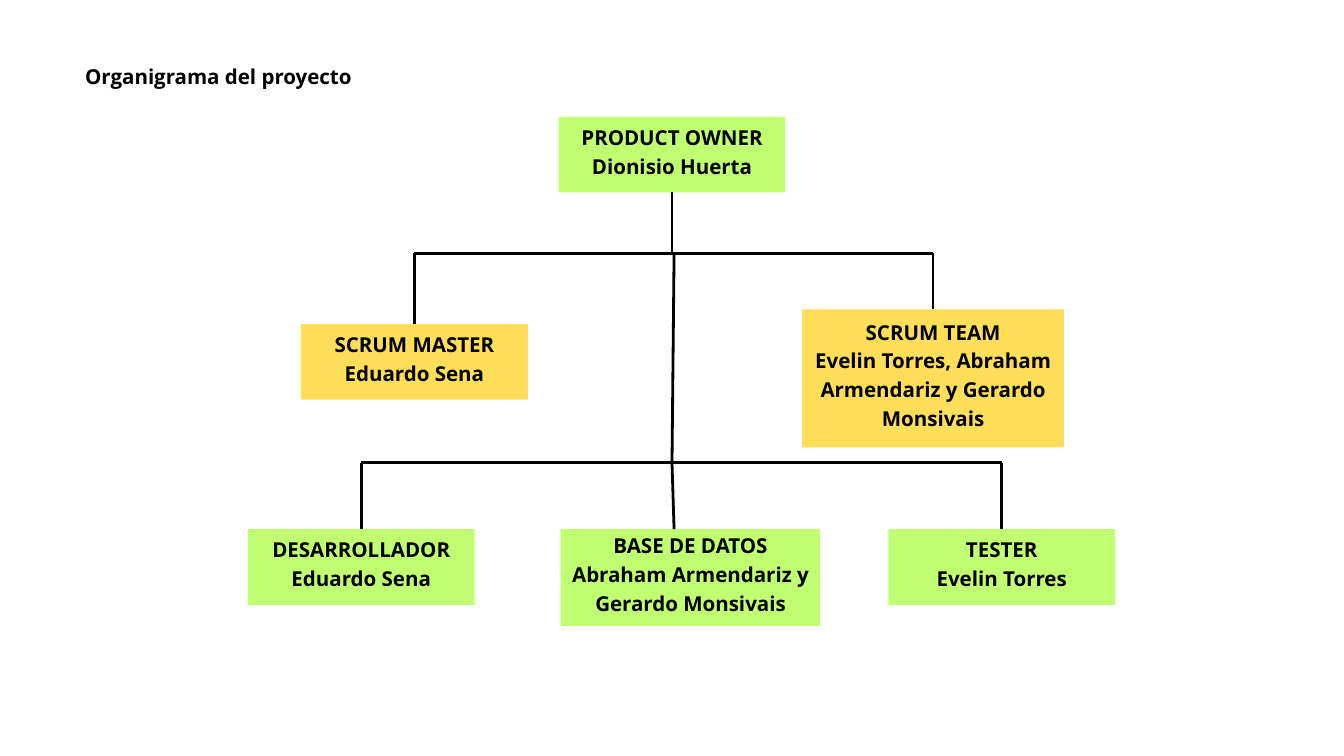
from pptx import Presentation
from pptx.dml.color import RGBColor
from pptx.enum.shapes import MSO_CONNECTOR as CONNECTOR, MSO_SHAPE as SHAPE
from pptx.enum.text import MSO_ANCHOR as ANCHOR, MSO_AUTO_SIZE as AUTO_SIZE, PP_ALIGN as ALIGN
from pptx.oxml.ns import qn
from pptx.util import Pt
from lxml.etree import SubElement

PX = 9525  # EMU per px: 1920 x 1080 px is 20 x 11.25 in
COLORS = {"green": "C1FF72", "yellow": "FFDE59", "ink": "000000"}


class OrgChart:
    font, size, leading, stroke = "Open Sans", Pt(22), Pt(30.8), Pt(3)

    def __init__(self, slide):
        self.slide = slide

    def color(self, name):
        return RGBColor.from_string(COLORS[name])

    def fill_text(self, frame, lines, anchor, insets):
        frame.word_wrap = True
        frame.auto_size = AUTO_SIZE.NONE
        frame.vertical_anchor = anchor
        (frame.margin_left, frame.margin_top,
         frame.margin_right, frame.margin_bottom) = [inset * PX for inset in insets]
        for i, line in enumerate(lines):
            paragraph = frame.add_paragraph() if i else frame.paragraphs[0]
            paragraph.alignment = ALIGN.CENTER
            paragraph.line_spacing = self.leading
            paragraph.space_before = paragraph.space_after = Pt(0)
            run = paragraph.add_run()
            run.text = line
            run.font.name, run.font.size, run.font.bold = self.font, self.size, True
            run.font.color.rgb = self.color("ink")

    def title(self, text, x, y, width, height):
        title = self.slide.shapes.title
        title.left, title.top = x * PX, y * PX
        title.width, title.height = width * PX, height * PX
        self.fill_text(title.text_frame, [text], ANCHOR.TOP, (0, 0, 0, 0))

    def role(self, fill, name, people, x, y, width=324, height=108):
        """Draw a role box; return its centre x, top and bottom."""
        box = self.slide.shapes.add_shape(
            SHAPE.RECTANGLE, x * PX, y * PX, width * PX, height * PX)
        box.shadow.inherit = False
        box.fill.solid()
        box.fill.fore_color.rgb = self.color(fill)
        box.line.fill.background()
        self.fill_text(box.text_frame, [name, people], ANCHOR.MIDDLE, (6, 0, 6, 15))
        return x + width // 2, y, y + height

    def line(self, x1, y1, x2, y2):
        line = self.slide.shapes.add_connector(
            CONNECTOR.STRAIGHT, x1 * PX, y1 * PX, x2 * PX, y2 * PX)
        line.line.color.rgb = self.color("ink")
        line.line.width = self.stroke
        SubElement(line._element.spPr, qn("a:effectLst"))

    def branch(self, bar_y, left, right):
        """Draw a bar with a drop to the role at each end."""
        self.line(left[0], bar_y, right[0], bar_y)
        for center, top, _ in (left, right):
            self.line(center, bar_y, center, top)


def main():
    prs = Presentation()
    prs.slide_width, prs.slide_height = 1920 * PX, 1080 * PX
    chart = OrgChart(prs.slides.add_slide(prs.slide_layouts[5]))
    chart.title("Organigrama del proyecto", 108, 86, 408, 80)

    # Roles, level by level
    owner = chart.role("green", "PRODUCT OWNER", "Dionisio Huerta", 798, 167)
    master = chart.role("yellow", "SCRUM MASTER", "Eduardo Sena", 430, 463)
    team = chart.role("yellow", "SCRUM TEAM",
                      "Evelin Torres, Abraham Armendariz y Gerardo Monsivais",
                      1146, 442, 374, 197)
    level_y = 756
    developer = chart.role("green", "DESARROLLADOR", "Eduardo Sena", 354, level_y)
    chart.role("green", "BASE DE DATOS", "Abraham Armendariz y Gerardo Monsivais",
               801, level_y, 371, 138)
    tester = chart.role("green", "TESTER", "Evelin Torres", 1269, level_y)

    # Branches and the slightly slanted trunk between them
    scrum_y, delivery_y = 362, 661
    chart.branch(scrum_y, master, team)
    chart.branch(delivery_y, developer, tester)
    trunk, slant = owner[0], 3
    chart.line(trunk, owner[2], trunk, scrum_y)
    chart.line(trunk + slant, scrum_y, trunk, delivery_y)
    chart.line(trunk, delivery_y, trunk + slant, level_y)

    prs.save("out.pptx")


if __name__ == "__main__":
    main()
